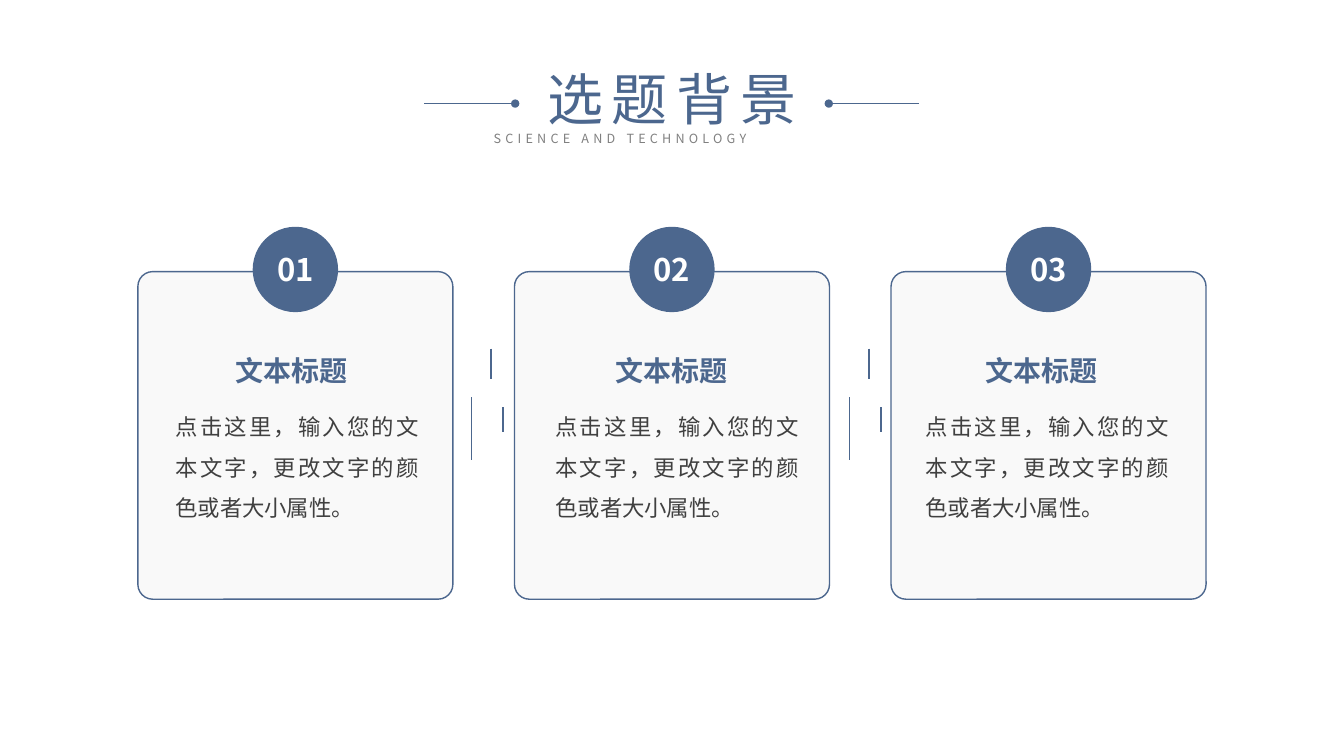
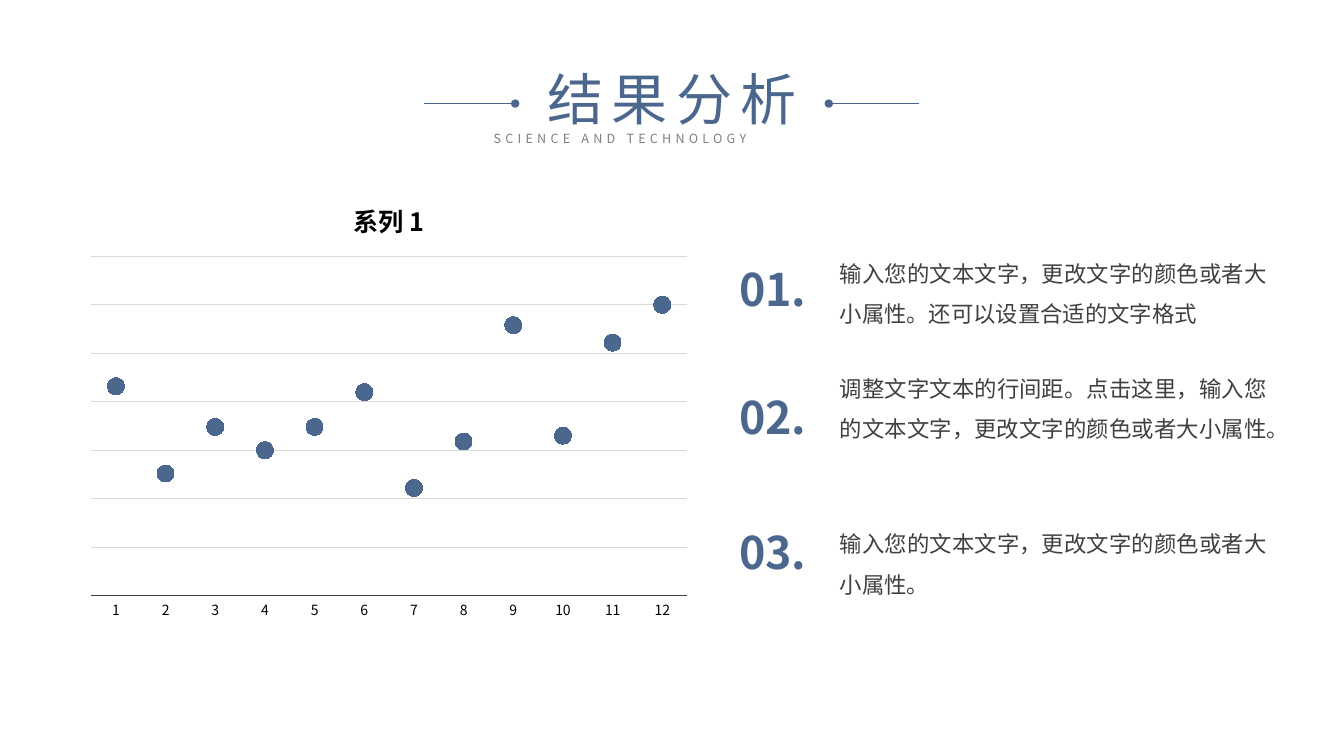
import dataclasses

import lxml.etree
import pptx
import pptx.chart.data
import pptx.dml.color
import pptx.enum.chart
import pptx.enum.shapes
import pptx.enum.text
import pptx.oxml.ns
import pptx.util

Pt = pptx.util.Pt
RGB = pptx.dml.color.RGBColor
Shape = pptx.enum.shapes.MSO_SHAPE
Align = pptx.enum.text.PP_ALIGN
Anchor = pptx.enum.text.MSO_ANCHOR
AutoSize = pptx.enum.text.MSO_AUTO_SIZE
qn = pptx.oxml.ns.qn


@dataclasses.dataclass(frozen=True)
class Theme:
    font: str = "Noto Sans CJK SC"
    blue: RGB = RGB(0x4C, 0x67, 0x8E)
    white: RGB = RGB(0xFF, 0xFF, 0xFF)
    black: RGB = RGB(0, 0, 0)
    card: RGB = RGB(0xF2, 0xF2, 0xF2)
    grid: RGB = RGB(0xD9, 0xD9, 0xD9)
    muted: RGB = RGB(0x80, 0x80, 0x80)
    dark: RGB = RGB(0x40, 0x40, 0x40)
    title: float = 40
    item_number: float = 32
    badge: float = 22.2
    heading: float = 20
    chart_title: float = 18
    body: float = 16
    axis: float = 10
    caption: float = 9


theme = Theme()


def write_text(frame, text, size, color, bold=False, align=Align.JUSTIFY,
               anchor=Anchor.TOP, spacing=None, tracking=0, inset=True):
    """Fill a text frame; tracking is extra letter spacing in points."""
    frame.text = text
    frame.word_wrap = True
    frame.auto_size = AutoSize.NONE if anchor == Anchor.MIDDLE else AutoSize.SHAPE_TO_FIT_TEXT
    frame.vertical_anchor = anchor
    if not inset:
        frame.margin_left = frame.margin_right = frame.margin_top = frame.margin_bottom = 0
    para = frame.paragraphs[0]
    para.alignment = align
    if spacing:
        para.line_spacing = spacing
    span = para.runs[0]
    span.font.name = theme.font
    span.font.size = Pt(size)
    span.font.bold = bold
    span.font.color.rgb = color
    properties = span.font._element
    lxml.etree.SubElement(properties, qn("a:ea")).set("typeface", theme.font)
    if tracking:
        properties.set("spc", str(tracking * 100))


def add_line(page, start_x, start_y, end_x, end_y, width, dot=False):
    """Draw a blue line, with a round dot at its end if wanted."""
    line = page.shapes.add_connector(pptx.enum.shapes.MSO_CONNECTOR.STRAIGHT,
                                     Pt(start_x), Pt(start_y), Pt(end_x), Pt(end_y))
    line.line.color.rgb = theme.blue
    line.line.width = Pt(width)
    properties = line._element.spPr
    if dot:
        lxml.etree.SubElement(properties.find(qn("a:ln")), qn("a:tailEnd")).set("type", "oval")
    lxml.etree.SubElement(properties, qn("a:effectLst"))


deck = pptx.Presentation()
deck.slide_width, deck.slide_height = Pt(960), Pt(540)
title_layout = deck.slide_layouts[5]
layout_title = title_layout.placeholders[0]
layout_title.left, layout_title.top = Pt(371.5), Pt(42.5)
layout_title.width, layout_title.height = Pt(217), Pt(55.4)

# Title, caption and side lines on every slide
for title in ("选题背景", "结果分析"):
    page = deck.slides.add_slide(title_layout)
    write_text(page.shapes.title.text_frame, title, theme.title, theme.blue,
               align=Align.CENTER, tracking=6)
    caption = page.shapes.add_textbox(Pt(345.6), Pt(90), Pt(269.3), Pt(18))
    write_text(caption.text_frame, "SCIENCE AND TECHNOLOGY", theme.caption, theme.muted,
               tracking=3)
    for outer, inner in ((303, 368), (656.5, 592)):
        add_line(page, outer, 74, inner, 74, 0.5, dot=True)

background_page, result_page = deck.slides

# Three numbered cards
card_left, card_pitch = 98.5, 269
card_width, card_height = 225, 234
badge_size = 61
for index, text_left in enumerate((125.3, 396.7, 661)):
    left = card_left + index * card_pitch
    card = background_page.shapes.add_shape(
        Shape.ROUNDED_RECTANGLE, Pt(left), Pt(194), Pt(card_width), Pt(card_height))
    card.adjustments[0] = 0.047
    card.shadow.inherit = False
    card.fill.solid()
    card.fill.fore_color.rgb = theme.card
    card_color = card._element.spPr.find(qn("a:solidFill"))[0]
    lxml.etree.SubElement(card_color, qn("a:alpha")).set("val", "44000")
    card.line.color.rgb = theme.blue
    card.line.width = Pt(1)

    badge = background_page.shapes.add_shape(
        Shape.OVAL, Pt(left + (card_width - badge_size) / 2), Pt(162),
        Pt(badge_size), Pt(badge_size))
    badge.shadow.inherit = False
    badge.fill.solid()
    badge.fill.fore_color.rgb = theme.blue
    badge.line.fill.background()
    write_text(badge.text_frame, f"{index + 1:02d}", theme.badge, theme.white, bold=True,
               align=Align.CENTER, anchor=Anchor.MIDDLE)

    heading = background_page.shapes.add_textbox(Pt(text_left + 42.7), Pt(240.5),
                                                 Pt(88.6), Pt(32.4))
    write_text(heading.text_frame, "文本标题", theme.heading, theme.blue, bold=True,
               spacing=1.5, inset=False)
    body = background_page.shapes.add_textbox(Pt(text_left), Pt(285.8), Pt(174.2), Pt(83.5))
    write_text(body.text_frame, "点击这里，输入您的文本文字，更改文字的颜色或者大小属性。",
               theme.body, theme.dark, spacing=1.5, inset=False)

# Upright dashes between the cards
for gap_left in (337, 607):
    for offset, top, length in ((13.7, 249, 21.6), (22.3, 291, 17.3), (0, 283.7, 44.6)):
        x = gap_left + offset
        add_line(background_page, x, top, x, top + length, 1)

# Dot chart
chart_data = pptx.chart.data.CategoryChartData()
chart_data.categories = [str(number) for number in range(1, 13)]
chart_data.add_series("系列 1", (72, 42, 58, 50, 58, 70, 37, 53, 93, 55, 87, 100))
chart = result_page.shapes.add_chart(
    pptx.enum.chart.XL_CHART_TYPE.LINE_MARKERS,
    Pt(56.2), Pt(128.9), Pt(443.5), Pt(319), chart_data).chart
chart.font.name = theme.font
chart.font.size = Pt(theme.axis)
chart.font.color.rgb = theme.black
chart.has_legend = False
chart.has_title = True
write_text(chart.chart_title.text_frame, "系列 1", theme.chart_title, theme.black,
           bold=True, align=Align.CENTER)
chart.chart_title.include_in_layout = False

plot_area = chart._chartSpace.chart.plotArea
for automatic_layout in plot_area.findall(qn("c:layout")):
    plot_area.remove(automatic_layout)
layout = lxml.etree.Element(qn("c:layout"))
manual_layout = lxml.etree.SubElement(layout, qn("c:manualLayout"))
for tag, value in (("layoutTarget", "inner"), ("xMode", "edge"), ("yMode", "edge"),
                   ("x", "0.02"), ("y", "0.17"), ("w", "0.96"), ("h", "0.76")):
    lxml.etree.SubElement(manual_layout, qn(f"c:{tag}")).set("val", value)
plot_area.insert(0, layout)

grid_step = 16.67
value_axis = chart.value_axis
value_axis.visible = False
value_axis.minimum_scale = 0
value_axis.maximum_scale = round(7 * grid_step, 2)
value_axis.major_unit = grid_step
value_axis.has_major_gridlines = True
value_axis.major_gridlines.format.line.color.rgb = theme.grid
value_axis.major_gridlines.format.line.width = Pt(0.75)
category_axis = chart.category_axis
category_axis.major_tick_mark = pptx.enum.chart.XL_TICK_MARK.NONE
category_axis.format.line.color.rgb = theme.dark
category_axis.format.line.width = Pt(0.75)

chart.plots[0].vary_by_categories = False
series = chart.plots[0].series[0]
series.smooth = False
series.format.line.fill.background()
series.marker.style = pptx.enum.chart.XL_MARKER_STYLE.CIRCLE
series.marker.size = 12
series.marker.format.fill.solid()
series.marker.format.fill.fore_color.rgb = theme.blue
series.marker.format.line.fill.background()

# Numbered findings: number centre, text top, text height, text
findings = (
    (206, 176.4, 54.7, "输入您的文本文字，更改文字的颜色或者大小属性。还可以设置合适的文字格式"),
    (297.4, 258.5, 83.5, "调整文字文本的行间距。点击这里，输入您的文本文字，更改文字的颜色或者大小属性。"),
    (393.8, 369.4, 54.7, "输入您的文本文字，更改文字的颜色或者大小属性。"),
)
for index, (centre, top, height, text) in enumerate(findings, start=1):
    number = result_page.shapes.add_textbox(Pt(522), Pt(centre - 24), Pt(60), Pt(48))
    write_text(number.text_frame, f"{index:02d}.", theme.item_number, theme.blue, bold=True,
               align=Align.CENTER, anchor=Anchor.MIDDLE, inset=False)
    finding = result_page.shapes.add_textbox(Pt(599.8), Pt(top), Pt(305.3), Pt(height))
    write_text(finding.text_frame, text, theme.body, theme.dark, spacing=1.5, inset=False)

deck.save("out.pptx")
